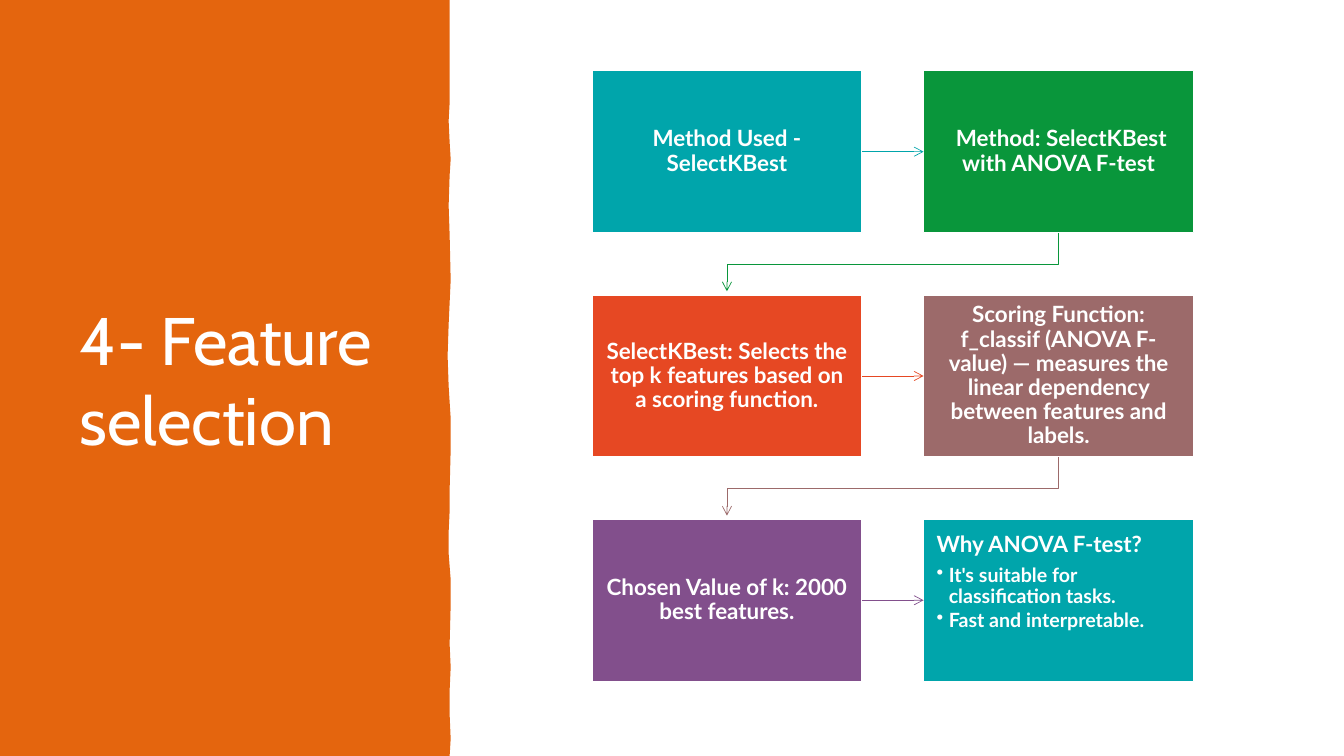
import pptx
import pptx.util
import pptx.dml.color
import pptx.enum.shapes
import pptx.enum.text
import pptx.oxml
import pptx.oxml.ns

Inches = pptx.util.Inches
Pt = pptx.util.Pt

# Content
TITLE = "4- Feature selection"
STEPS = [
    ("teal", "Method Used - SelectKBest", []),
    ("green", " Method: SelectKBest with ANOVA F-test", []),
    ("red", "SelectKBest: Selects the top k features based on a scoring function.", []),
    ("mauve", "Scoring Function: f_classif (ANOVA F-value) — measures the linear "
              "dependency between features and labels.", []),
    ("purple", "Chosen Value of k: 2000 best features.", []),
    ("teal", "Why ANOVA F-test?",
     ["It's suitable for classification tasks.", "Fast and interpretable."]),
]
PANEL_EDGE = [
    (4.46, 0), (4.46, 0.63), (4.46, 1.02), (4.45, 1.2), (4.46, 1.41), (4.47, 1.58),
    (4.46, 1.74), (4.45, 2.04), (4.46, 2.33), (4.47, 2.78), (4.45, 3.22), (4.44, 3.53),
    (4.45, 3.83), (4.47, 4.15), (4.47, 4.46), (4.46, 4.86), (4.46, 5.07), (4.45, 5.28),
    (4.45, 5.49), (4.47, 5.75), (4.47, 6), (4.46, 6.39), (4.47, 6.62), (4.46, 6.85),
    (4.46, 7.09), (4.47, 7.33), (4.46, 7.5),
]

THEME = {
    "teal": "00A5AB", "green": "09963B", "red": "E64823", "mauve": "9C6A6A",
    "purple": "824F8C", "orange": "E4650E", "white": "FFFFFF",
    "title_font": "Cabin", "body_font": "Lato",
    "title_size": 48, "step_size": 16, "bullet_size": 14,
    "arrow_width": 0.5, "border_width": 1,
}

# Grid of steps, two to a row
LEFT, TOP, WIDTH, HEIGHT = 5.87, 0.7, 2.68, 1.61
COLUMN_PITCH, ROW_PITCH = 3.29, 2.225
COLUMNS = 2
ELBOW_DROP, ARROW_DROP = 0.31, 0.58


def color(name):
    return pptx.dml.color.RGBColor.from_string(THEME[name])


def apply(target, values):
    for name, value in values.items():
        setattr(target, name, value)


def style_font(font, face, size, bold):
    apply(font, {"name": THEME[face], "size": Pt(THEME[size]), "bold": bold})
    font.color.rgb = color("white")


def paint(shape, fill, line=None):
    shape.shadow.inherit = False
    shape.fill.solid()
    shape.fill.fore_color.rgb = color(fill)
    if line:
        shape.line.color.rgb = color(line)
        shape.line.width = Pt(THEME["border_width"])
    else:
        shape.line.fill.background()


def outline(shapes, points, close):
    points = [(Inches(x), Inches(y)) for x, y in points]
    builder = shapes.build_freeform(*points[0])
    builder.add_line_segments(points[1:], close=close)
    return builder.convert_to_shape()


def style_arrow(arrow, line_color):
    arrow.line.color.rgb = color(line_color)
    arrow.line.width = Pt(THEME["arrow_width"])
    pptx.oxml.ns.qn("a:tailEnd")
    arrow.line._get_or_add_ln().append(pptx.oxml.parse_xml(
        "<a:tailEnd %s type='arrow'/>" % pptx.oxml.ns.nsdecls("a")))


def add_bullet(paragraph):
    properties = paragraph._p.get_or_add_pPr()
    properties.set("marL", str(Inches(0.12)))
    properties.set("indent", str(-Inches(0.12)))
    properties.append(pptx.oxml.parse_xml(
        "<a:buChar %s char='•'/>" % pptx.oxml.ns.nsdecls("a")))


def step_position(index):
    row, column = divmod(index, COLUMNS)
    return LEFT + column * COLUMN_PITCH, TOP + row * ROW_PITCH


def add_step(shapes, index):
    fill, heading, bullets = STEPS[index]
    x, y = step_position(index)
    step = shapes.add_shape(pptx.enum.shapes.MSO_SHAPE.RECTANGLE,
                            Inches(x), Inches(y), Inches(WIDTH), Inches(HEIGHT))
    paint(step, fill, "white")
    anchors, aligns = pptx.enum.text.MSO_ANCHOR, pptx.enum.text.PP_ALIGN
    frame = step.text_frame
    apply(frame, {
        "word_wrap": True,
        "vertical_anchor": anchors.TOP if bullets else anchors.MIDDLE,
        "margin_left": Inches(0.13), "margin_right": Inches(0.13),
        "margin_top": Inches(0.14), "margin_bottom": Inches(0.14),
    })
    for number, text in enumerate([heading] + bullets):
        paragraph = frame.add_paragraph() if number else frame.paragraphs[0]
        run = paragraph.add_run()
        run.text = text
        apply(paragraph, {
            "alignment": aligns.LEFT if bullets else aligns.CENTER,
            "line_spacing": 0.9,
            "space_after": Pt(2.1 if number else 5.6),
            "level": 1 if number else 0,
        })
        style_font(run.font, "body_font", "bullet_size" if number else "step_size", True)
        if number:
            add_bullet(paragraph)
    return step


def add_row_arrow(shapes, source, target, line_color):
    arrow = shapes.add_connector(pptx.enum.shapes.MSO_CONNECTOR.STRAIGHT, 0, 0, 0, 0)
    arrow.begin_connect(source, 3)
    arrow.end_connect(target, 1)
    style_arrow(arrow, line_color)
    arrow._element.spPr.append(pptx.oxml.parse_xml(
        "<a:effectLst %s/>" % pptx.oxml.ns.nsdecls("a")))


def add_elbow_arrow(shapes, index, line_color):
    x, y = step_position(index)
    start, bottom = x + WIDTH / 2, y + HEIGHT
    end = step_position(index + 1)[0] + WIDTH / 2
    elbow = outline(shapes, [(start, bottom), (start, bottom + ELBOW_DROP),
                             (end, bottom + ELBOW_DROP), (end, bottom + ARROW_DROP)], False)
    elbow.shadow.inherit = False
    elbow.fill.background()
    style_arrow(elbow, line_color)


def main():
    deck = pptx.Presentation()
    apply(deck, {"slide_width": Inches(13.33), "slide_height": Inches(7.5)})
    slide = deck.slides.add_slide(deck.slide_layouts[5])
    shapes = slide.shapes

    # Title on the wavy orange panel
    title = shapes.title
    panel = outline(shapes, [(0, 0)] + PANEL_EDGE + [(0, 7.5)], True)
    paint(panel, "orange")
    title.element.addprevious(panel.element)
    apply(title, {"left": Inches(0.69), "top": Inches(0.7),
                  "width": Inches(3.39), "height": Inches(6.11)})
    title.text_frame.text = TITLE
    apply(title.text_frame, {
        "word_wrap": True,
        "auto_size": pptx.enum.text.MSO_AUTO_SIZE.NONE,
        "vertical_anchor": pptx.enum.text.MSO_ANCHOR.MIDDLE,
    })
    heading = title.text_frame.paragraphs[0]
    heading.alignment = pptx.enum.text.PP_ALIGN.LEFT
    style_font(heading.runs[0].font, "title_font", "title_size", False)

    # Steps, then the arrows that lead from each to the next
    steps = [add_step(shapes, index) for index in range(len(STEPS))]
    for index, (line_color, _, _) in enumerate(STEPS[:-1]):
        if index % COLUMNS < COLUMNS - 1:
            add_row_arrow(shapes, steps[index], steps[index + 1], line_color)
        else:
            add_elbow_arrow(shapes, index, line_color)

    deck.save("out.pptx")


if __name__ == "__main__":
    main()
